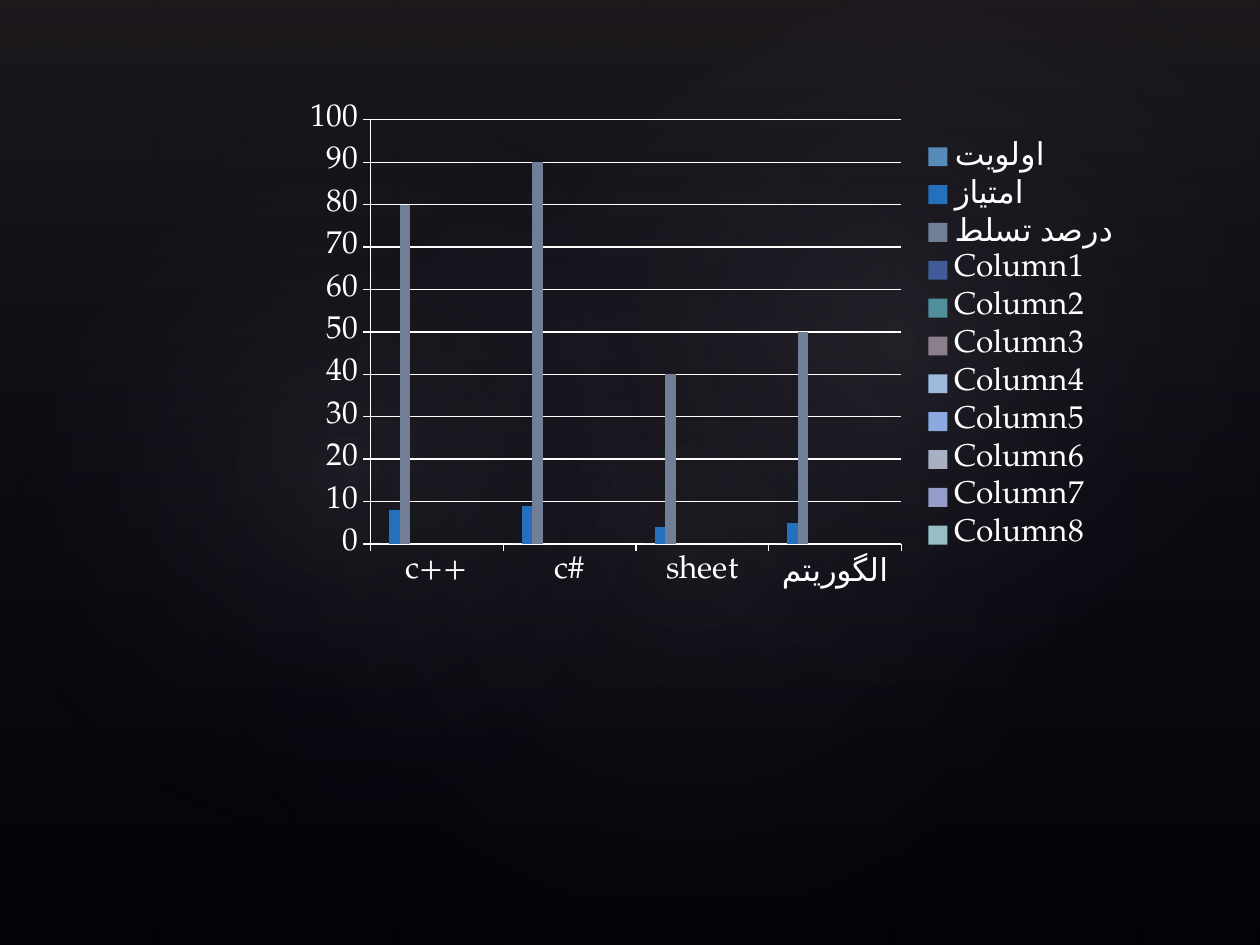
import lxml.etree
import pptx
import pptx.chart.data
import pptx.dml.color
import pptx.enum.chart
import pptx.enum.shapes
import pptx.oxml
import pptx.oxml.ns
import pptx.util

PX = 914400 / 126
FONT = "TeX Gyre Pagella"
COLORS = {
    "black": "000000", "white": "FFFFFF", "navy": "242852",
    "plum": "504652", "mist": "C4BCC6",
}
LINEAR = '<a:lin ang="5400000" scaled="0"/>'
RADIAL = ('<a:path path="circle"><a:fillToRect l="50000" t="50000" '
          'r="50000" b="50000"/></a:path>')


def rgb(value):
    return pptx.dml.color.RGBColor.from_string(value)


def add_glow(kind, frame, rotation, stops, direction):
    """Add a borderless shape with a translucent gradient; stops are (position, colour, alpha) in percent."""
    left, top, width, height = [round(n * PX) for n in frame]
    glow = page.shapes.add_shape(kind, left, top, width, height)
    glow.rotation = rotation
    glow.shadow.inherit = False
    glow.line.fill.background()
    marks = "".join(
        f'<a:gs pos="{position * 1000}"><a:srgbClr val="{COLORS[color]}">'
        f'<a:alpha val="{alpha * 1000}"/></a:srgbClr></a:gs>'
        for position, color, alpha in stops)
    gradient = pptx.oxml.parse_xml(
        f'<a:gradFill {pptx.oxml.ns.nsdecls("a")} rotWithShape="1">'
        f'<a:gsLst>{marks}</a:gsLst>{direction}</a:gradFill>')
    geometry = glow.element.spPr.find(pptx.oxml.ns.qn("a:prstGeom"))
    geometry.addnext(gradient)


deck = pptx.Presentation()
deck.slide_width = round(1260 * PX)
deck.slide_height = round(945 * PX)
page = deck.slides.add_slide(deck.slide_layouts[6])
page.background.fill.solid()
page.background.fill.fore_color.rgb = rgb(COLORS["black"])

# Backdrop
shapes = pptx.enum.shapes.MSO_SHAPE
add_glow(shapes.RECTANGLE, (0, 0, 1260, 945), 0,
         [(0, "plum", 36), (100, "navy", 10)], LINEAR)
for frame, rotation, alpha in [
    ((189, 144, 998, 786), 328.7, 7),
    ((-38, 161, 764, 617), 294.3, 8),
    ((451, 16, 893, 655), 328.7, 8),
]:
    add_glow(shapes.OVAL, frame, rotation,
             [(0, "mist", alpha), (58, "navy", 0)], RADIAL)

# Skills chart
skills = pptx.chart.data.CategoryChartData()
skills.categories = ["c++", "c#", "sheet", "الگوریتم"]
skills.add_series("اولویت", [0, 0, 0, 0])
skills.add_series("امتیاز", [8, 9, 4, 5])
skills.add_series("درصد تسلط", [80, 90, 40, 50])
for number in range(1, 9):
    skills.add_series(f"Column{number}", [None] * 4)

left, top, width, height = [round(n * PX) for n in (294, 94, 840, 504)]
chart = page.shapes.add_chart(
    pptx.enum.chart.XL_CHART_TYPE.COLUMN_CLUSTERED,
    left, top, width, height, skills).chart
chart.has_title = False
chart.font.name = FONT
chart.font.size = pptx.util.Pt(18)
chart.font.color.rgb = rgb(COLORS["white"])
chart.has_legend = True
chart.legend.position = pptx.enum.chart.XL_LEGEND_POSITION.RIGHT
chart.legend.include_in_layout = False

plot = chart.plots[0]
plot.gap_width = 150
plot.overlap = 0
plot.vary_by_categories = False
series_colors = ["578BB9", "2470BD", "707E96", "415A98", "4F8F9A", "8B7F8D",
                 "9DBBDF", "8AA9E1", "A8B1C3", "949DC9", "97BEC6"]
for series, color in zip(plot.series, series_colors):
    series.invert_if_negative = False
    series.format.fill.solid()
    series.format.fill.fore_color.rgb = rgb(color)

value_axis = chart.value_axis
value_axis.minimum_scale = 0
value_axis.maximum_scale = 100
value_axis.major_unit = 10
value_axis.has_major_gridlines = True
for axis in (chart.category_axis, value_axis):
    axis.major_tick_mark = pptx.enum.chart.XL_TICK_MARK.OUTSIDE
    axis.minor_tick_mark = pptx.enum.chart.XL_TICK_MARK.NONE
for part in (chart.category_axis, value_axis, value_axis.major_gridlines):
    part.format.line.color.rgb = rgb(COLORS["white"])
    part.format.line.width = pptx.util.Pt(0.75)

deck.save("out.pptx")
